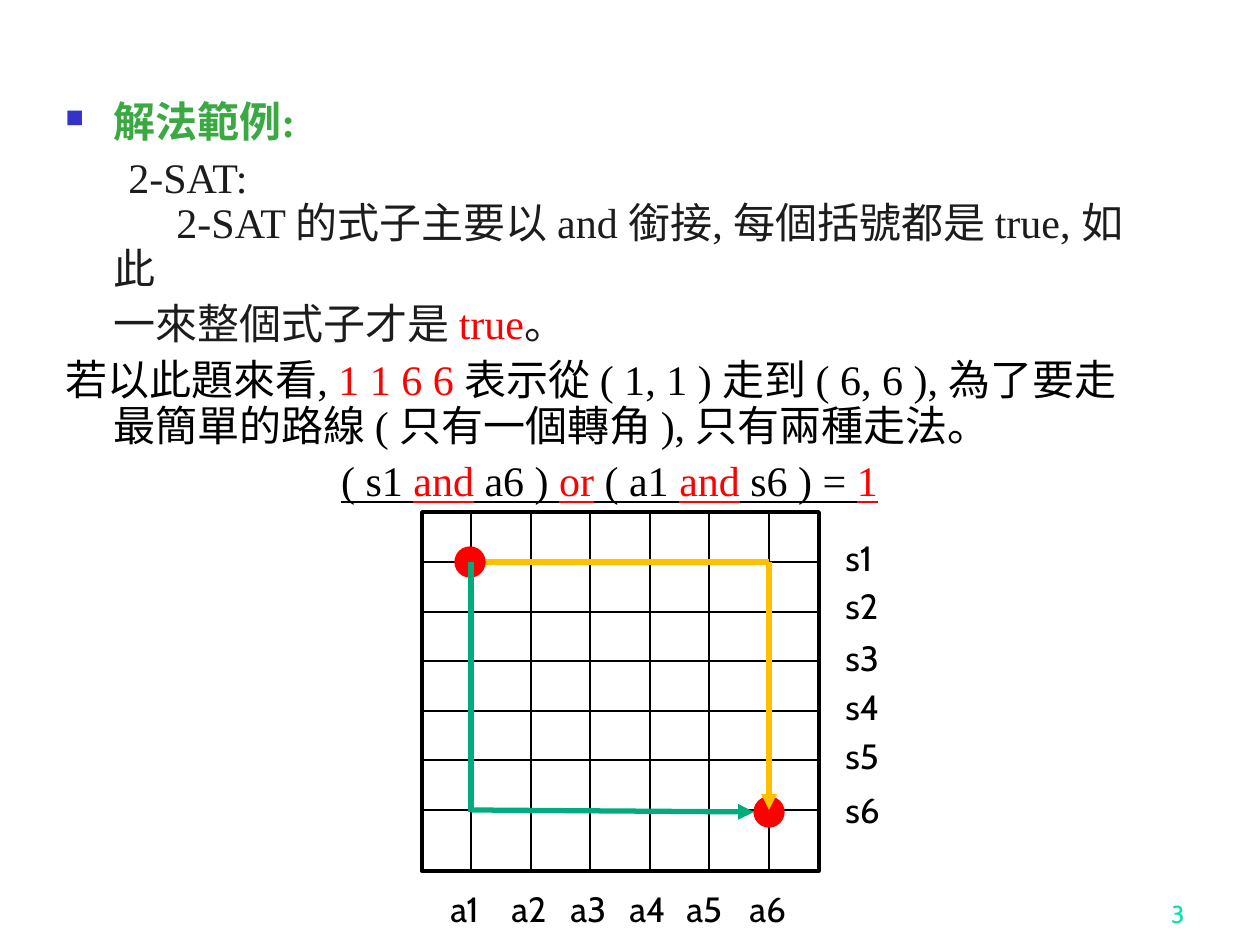
from dataclasses import dataclass

from lxml.etree import SubElement
from pptx import Presentation
from pptx.dml.color import RGBColor
from pptx.enum.shapes import MSO_CONNECTOR, MSO_SHAPE
from pptx.enum.text import MSO_ANCHOR, MSO_AUTO_SIZE, PP_ALIGN
from pptx.oxml.ns import qn
from pptx.util import Emu, Pt

EMU_PER_PX = 914400 / 126

BLACK = RGBColor(0x00, 0x00, 0x00)
WHITE = RGBColor(0xFF, 0xFF, 0xFF)
INK = RGBColor(0x1C, 0x1C, 0x1C)
RED = RGBColor(0xFF, 0x00, 0x00)
GREEN = RGBColor(0x3B, 0xA9, 0x43)
TEAL = RGBColor(0x00, 0xAB, 0x7E)
MINT = RGBColor(0x00, 0xE4, 0xA8)
AMBER = RGBColor(0xFF, 0xC0, 0x00)
BULLET_COLOR = "3333CC"

BODY_FONT = "Times New Roman"
LABEL_FONT = "Cabin"
HANG = 48  # hanging indent of the body text
FIRST_LINE = 63


@dataclass(frozen=True)
class Box:
    left: int
    top: int
    width: int
    height: int


@dataclass(frozen=True)
class Run:
    text: str
    color: RGBColor = BLACK


@dataclass(frozen=True)
class BodyLine:
    runs: tuple[Run, ...]
    margin: int = HANG
    indent: int = -HANG
    before: int = 6
    align: PP_ALIGN = PP_ALIGN.LEFT
    bullet: bool = False
    bold: bool = False
    underline: bool = False


@dataclass(frozen=True)
class Stroke:
    start: tuple[int, int]
    end: tuple[int, int]
    color: RGBColor = BLACK
    weight: float = 0.75
    arrow: bool = False


GRID = Box(422, 512, 397, 359)
FIRST_X, LAST_X = 471, 769
FIRST_Y, LAST_Y = 562, 810
COUNT = 6
DOT_SIZE = 30
ROW_LABEL_TOPS = (530, 578, 630, 679, 728, 782)
COLUMN_LABEL_LEFTS = (438, 499, 558, 617, 674, 737)

BODY_LINES = (
    BodyLine((Run("解法範例:", GREEN),), bullet=True, bold=True),
    BodyLine((Run("2-SAT:", INK),), margin=0, indent=FIRST_LINE),
    BodyLine((Run("2-SAT 的式子主要以 and 銜接, 每個括號都是 true, 如此", INK),),
             indent=FIRST_LINE, before=0),
    BodyLine((Run("一來整個式子才是 ", INK), Run("true", RED), Run("。", INK)), indent=0),
    BodyLine((Run("若以此題來看, "), Run("1 1 6 6 ", RED),
              Run("表示從 ( 1, 1 ) 走到 ( 6, 6 ), 為了要走最簡單的路線 "
                  "( 只有一個轉角 ), 只有兩種走法。"))),
    BodyLine((Run("( s1 "), Run("and", RED), Run(" a6 ) "), Run("or", RED),
              Run(" ( a1 "), Run("and", RED), Run(" s6 ) = "), Run("1", RED)),
             align=PP_ALIGN.CENTER, underline=True),
)


def px(value: float) -> Emu:
    return Emu(round(value * EMU_PER_PX))


def frame(box: Box) -> tuple[Emu, ...]:
    return px(box.left), px(box.top), px(box.width), px(box.height)


def positions(first: int, last: int) -> list[int]:
    """Evenly spaced grid positions, ends included."""
    return [round(first + (last - first) * i / (COUNT - 1)) for i in range(COUNT)]


def add_run(paragraph, text: str, *, font: str, size: int, color: RGBColor,
            bold: bool = False, underline: bool = False) -> None:
    run = paragraph.add_run()
    run.text = text
    run.font.name = font
    run.font.size = Pt(size)
    run.font.color.rgb = color
    run.font.bold = bold
    run.font.underline = underline


def add_label(slide, text: str, box: Box, *, size: int = 20, color: RGBColor = BLACK,
              align: PP_ALIGN = PP_ALIGN.LEFT, anchor: MSO_ANCHOR = MSO_ANCHOR.TOP,
              wrap: bool = False) -> None:
    text_frame = slide.shapes.add_textbox(*frame(box)).text_frame
    text_frame.word_wrap = wrap
    text_frame.auto_size = MSO_AUTO_SIZE.NONE if wrap else MSO_AUTO_SIZE.SHAPE_TO_FIT_TEXT
    text_frame.vertical_anchor = anchor
    paragraph = text_frame.paragraphs[0]
    paragraph.alignment = align
    add_run(paragraph, text, font=LABEL_FONT, size=size, color=color)


def add_body(slide, box: Box, lines: tuple[BodyLine, ...]) -> None:
    text_frame = slide.shapes.add_textbox(*frame(box)).text_frame
    text_frame.word_wrap = True
    for index, line in enumerate(lines):
        paragraph = text_frame.add_paragraph() if index else text_frame.paragraphs[0]
        paragraph.alignment = line.align
        paragraph.line_spacing = 0.9
        if index:
            paragraph.space_before = Pt(line.before)
        properties = paragraph._p.get_or_add_pPr()
        properties.set("marL", str(px(line.margin)))
        properties.set("indent", str(px(line.indent)))
        if line.bullet:
            color = SubElement(properties, qn("a:buClr"))
            SubElement(color, qn("a:srgbClr"), val=BULLET_COLOR)
            SubElement(properties, qn("a:buSzPct"), val="60000")
            SubElement(properties, qn("a:buChar"), char="■")
        for run in line.runs:
            add_run(paragraph, run.text, font=BODY_FONT, size=24, color=run.color,
                    bold=line.bold, underline=line.underline)


def add_shape(slide, kind: MSO_SHAPE, box: Box, fill: RGBColor, line: RGBColor,
              weight: float) -> None:
    shape = slide.shapes.add_shape(kind, *frame(box))
    shape.shadow.inherit = False
    shape.fill.solid()
    shape.fill.fore_color.rgb = fill
    shape.line.color.rgb = line
    shape.line.width = Pt(weight)


def add_dot(slide, center_x: int, center_y: int) -> None:
    half = DOT_SIZE // 2
    add_shape(slide, MSO_SHAPE.FLOWCHART_CONNECTOR,
              Box(center_x - half, center_y - half, DOT_SIZE, DOT_SIZE), RED, RED, 0.75)


def add_stroke(slide, stroke: Stroke) -> None:
    points = [px(value) for value in (*stroke.start, *stroke.end)]
    connector = slide.shapes.add_connector(MSO_CONNECTOR.STRAIGHT, *points)
    connector.line.color.rgb = stroke.color
    connector.line.width = Pt(stroke.weight)
    if stroke.arrow:
        SubElement(connector.line._get_or_add_ln(), qn("a:tailEnd"), type="triangle")
    SubElement(connector._element.spPr, qn("a:effectLst"))


def main() -> None:
    presentation = Presentation()
    presentation.slide_width = px(1260)
    presentation.slide_height = px(945)
    slide = presentation.slides.add_slide(presentation.slide_layouts[6])

    # Grid frame, page number and explanation
    add_shape(slide, MSO_SHAPE.RECTANGLE, GRID, WHITE, BLACK, 2)
    add_label(slide, "3", Box(935, 872, 262, 63), size=14, color=MINT,
              align=PP_ALIGN.RIGHT, anchor=MSO_ANCHOR.BOTTOM, wrap=True)
    add_body(slide, Box(53, 95, 1113, 775), BODY_LINES)

    # Streets and avenues
    right, bottom = GRID.left + GRID.width, GRID.top + GRID.height
    for y in positions(FIRST_Y, LAST_Y):
        add_stroke(slide, Stroke((GRID.left, y), (right, y)))
    for x in positions(FIRST_X, LAST_X):
        add_stroke(slide, Stroke((x, GRID.top), (x, bottom)))

    # Two routes between the end points
    end_y = LAST_Y + 2
    add_stroke(slide, Stroke((FIRST_X, FIRST_Y), (LAST_X, FIRST_Y), AMBER, 3))
    add_dot(slide, LAST_X, end_y)
    add_stroke(slide, Stroke((LAST_X, FIRST_Y), (LAST_X, LAST_Y), AMBER, 3, arrow=True))
    add_dot(slide, FIRST_X - 1, FIRST_Y)
    add_stroke(slide, Stroke((FIRST_X, FIRST_Y), (FIRST_X, end_y), TEAL, 3))
    add_stroke(slide, Stroke((FIRST_X, LAST_Y), (LAST_X - DOT_SIZE // 2, end_y),
                             TEAL, 3, arrow=True))

    # Row and column labels
    for number, top in enumerate(ROW_LABEL_TOPS, start=1):
        add_label(slide, f"s{number}", Box(833, top, 62, 55))
    for number, left in enumerate(COLUMN_LABEL_LEFTS, start=1):
        add_label(slide, f"a{number}", Box(left, 881, 64, 55))

    presentation.save("out.pptx")


if __name__ == "__main__":
    main()
